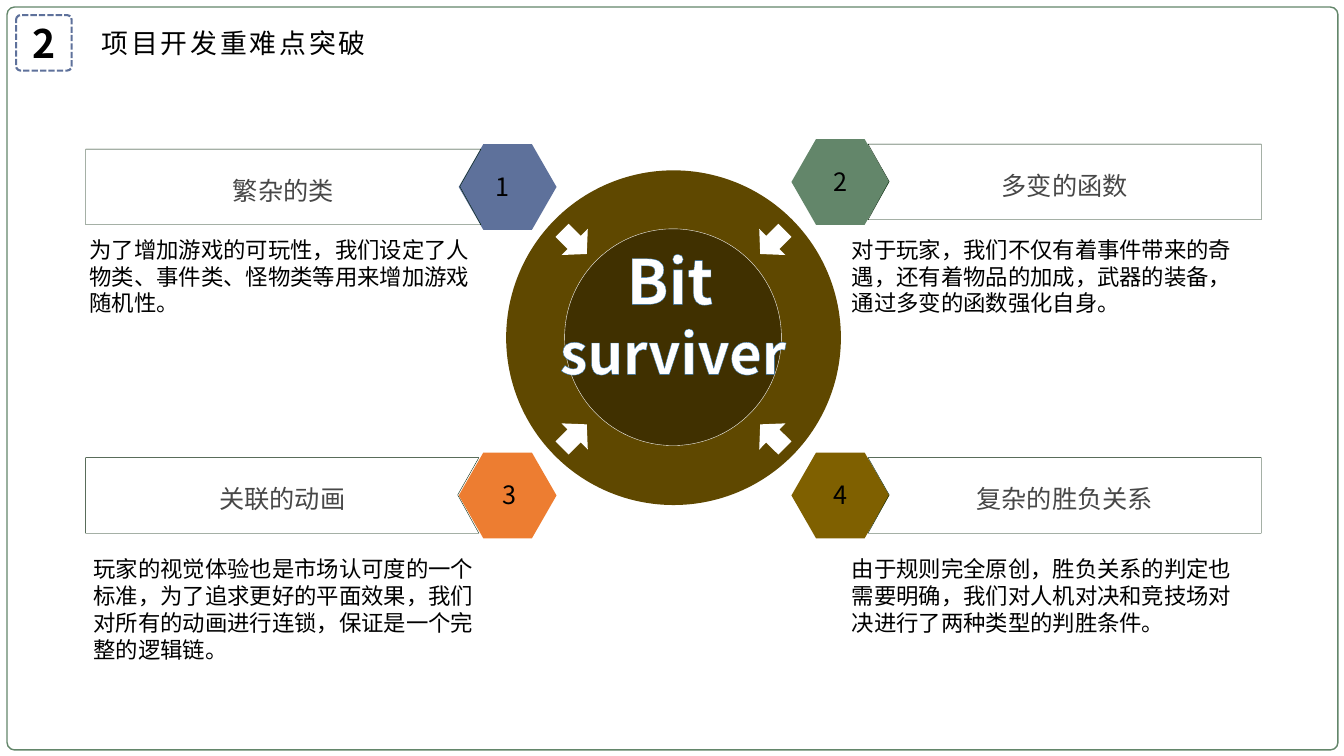
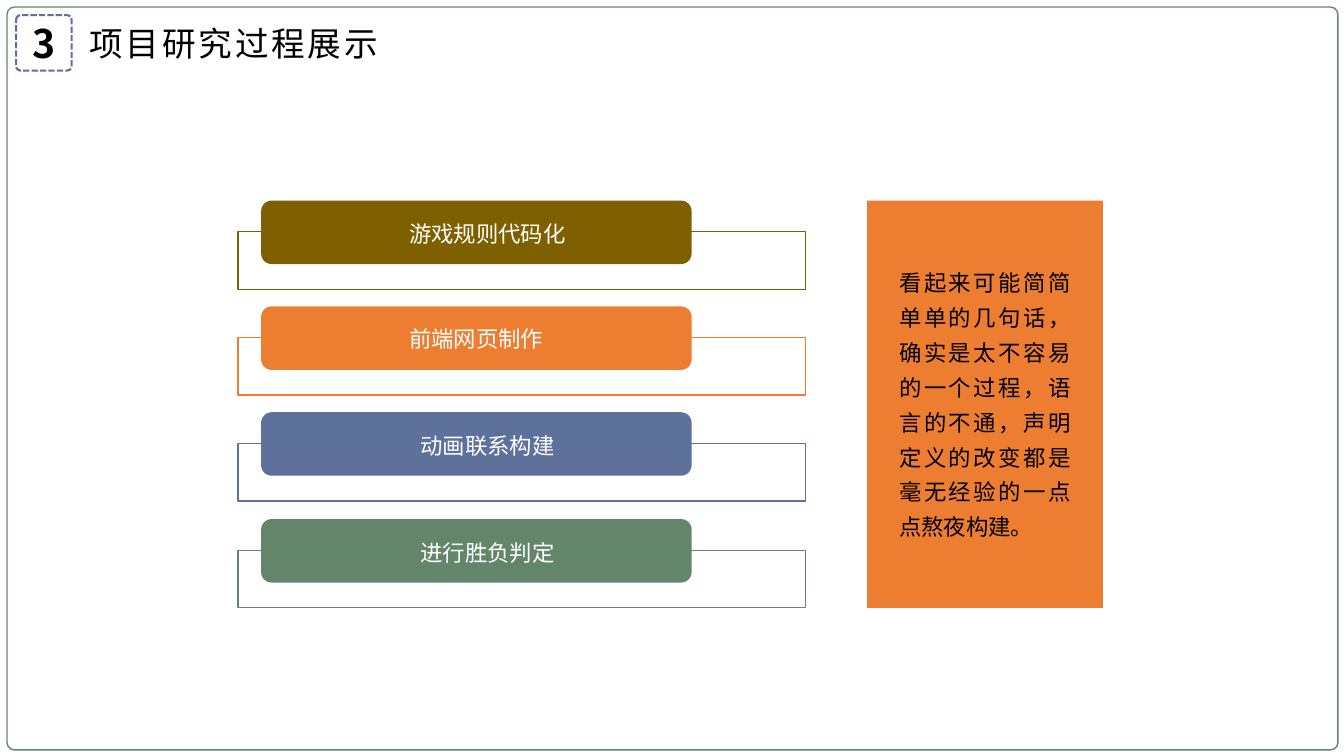
from dataclasses import dataclass
from typing import Any, Optional, Sequence

from lxml import etree
from pptx import Presentation
from pptx import util as u
from pptx.dml.color import RGBColor
from pptx.enum import dml, shapes, text
from pptx.oxml import ns

Kind = shapes.MSO_SHAPE
Align = text.PP_ALIGN
Box = tuple[int, int, int, int]

PX = 9144  # EMU per px, 100 px to the inch


@dataclass(frozen=True)
class Theme:
    font: str = "Noto Sans CJK SC"
    green: str = "63866A"
    blue: str = "5E719B"
    orange: str = "ED7D31"
    gold: str = "7F6000"
    ring: str = "5F4800"
    core: str = "403000"
    edge: str = "002003"
    glow: str = "2E75B6"
    gray: str = "474747"
    black: str = "000000"
    white: str = "FFFFFF"
    badge: float = 28
    head: float = 18
    body: float = 16


T = Theme()


@dataclass(frozen=True)
class Topic:
    num: str
    name: str
    note: str
    color: str
    side: int  # -1 left, 1 right
    top: int
    spot: tuple[int, int]  # note corner
    mark: int  # number's left edge
    lap: int = 0  # extra reach under the hexagon


@dataclass(frozen=True)
class Step:
    name: str
    color: str
    inset: int = 32
    lead: float = 1.1


TOPICS = (
    Topic("1", "繁杂的类",
          "为了增加游戏的可玩性，我们设定了人物类、事件类、怪物类等用来增加游戏随机性。",
          T.blue, -1, 143, (79, 229), 482, 2),
    Topic("2", "多变的函数",
          "对于玩家，我们不仅有着事件带来的奇遇，还有着物品的加成，武器的装备，通过多变的函数强化自身。",
          T.green, 1, 138, (835, 229), 817),
    Topic("3", "关联的动画",
          "玩家的视觉体验也是市场认可度的一个标准，为了追求更好的平面效果，我们对所有的动画进行连锁，保证是一个完整的逻辑链。",
          T.orange, -1, 449, (83, 546), 489),
    Topic("4", "复杂的胜负关系",
          "由于规则完全原创，胜负关系的判定也需要明确，我们对人机对决和竞技场对决进行了两种类型的判胜条件。",
          T.gold, 1, 449, (835, 546), 817),
)
STEPS = (
    Step("游戏规则代码化", T.gold),
    Step("前端网页制作", T.orange, 10, 1.0),
    Step("动画联系构建", T.blue),
    Step("进行胜负判定", T.green),
)
PANEL = "看起来可能简简单单的几句话，确实是太不容易的一个过程，语言的不通，声明定义的改变都是毫无经验的一点点熬夜构建。"

MID_X, MID_Y = 668, 335  # wheel centre
ARROW = ((111, 85), (86, 86), (85, 111), (92, 104),
         (104, 116), (117, 103), (105, 91))


def rgb(code: str) -> RGBColor:
    return RGBColor.from_string(code)


def paint(shape: Any, fill: Optional[str] = None,
          line: Optional[str] = None, wide: float = 1) -> Any:
    shape.shadow.inherit = False
    if fill:
        shape.fill.solid()
        shape.fill.fore_color.rgb = rgb(fill)
    else:
        shape.fill.background()
    if line:
        shape.line.color.rgb = rgb(line)
        shape.line.width = u.Pt(wide)
    else:
        shape.line.fill.background()
    return shape


def add(slide: Any, kind: Any, box: Box, adj: Sequence[float] = (),
        **look: Any) -> Any:
    shape = slide.shapes.add_shape(kind, *(v * PX for v in box))
    for i, val in enumerate(adj):
        shape.adjustments[i] = val
    return paint(shape, **look)


def poly(slide: Any, pts: Sequence[tuple[int, int]], **look: Any) -> Any:
    path = slide.shapes.build_freeform(*pts[0], scale=PX)
    path.add_line_segments(pts[1:], close=True)
    return paint(path.convert_to_shape(), **look)


def area(slide: Any, box: Box) -> Any:
    return slide.shapes.add_textbox(*(v * PX for v in box))


def write(shape: Any, words: str, *, size: float = T.body,
          color: str = T.black, bold: bool = False, align: Any = Align.LEFT,
          mid: bool = False, inset: Box = (10, 5, 10, 5), wrap: bool = True,
          lead: float = 1.0, gap: float = 0, track: float = 0,
          rim: Optional[str] = None) -> None:
    frame = shape.text_frame
    frame.word_wrap = wrap
    frame.vertical_anchor = (text.MSO_ANCHOR.MIDDLE if mid
                             else text.MSO_ANCHOR.TOP)
    (frame.margin_left, frame.margin_top,
     frame.margin_right, frame.margin_bottom) = (v * PX for v in inset)
    para = frame.paragraphs[0]
    para.alignment, para.line_spacing = align, lead
    para.space_before = para.space_after = u.Pt(gap)
    run = para.add_run()
    run.text = words
    font = run.font
    font.size, font.bold, font.name = u.Pt(size), bold, T.font
    font.color.rgb = rgb(color)
    # East Asian face, tracking and outline
    props = run._r.get_or_add_rPr()
    etree.SubElement(props, ns.qn("a:ea")).set("typeface", T.font)
    if track:
        props.set("spc", str(round(track * 100)))
    if rim:
        line = etree.Element(ns.qn("a:ln"), w=str(u.Pt(4)))
        fill = etree.SubElement(line, ns.qn("a:solidFill"))
        etree.SubElement(fill, ns.qn("a:srgbClr")).set("val", rim)
        props.insert(0, line)


def start(deck: Any, num: str, title: str, size: float) -> Any:
    """New slide with border, badge and title."""
    slide = deck.slides.add_slide(deck.slide_layouts[6])
    add(slide, Kind.ROUNDED_RECTANGLE, (7, 7, 1320, 737), [0.01],
        line=T.green)
    badge = add(slide, Kind.ROUNDED_RECTANGLE, (16, 15, 55, 55), [0.08],
                line=T.blue, wide=1.5)
    badge.line.dash_style = dml.MSO_LINE.SQUARE_DOT
    write(badge, num, size=T.badge, bold=True, align=Align.CENTER,
          mid=True, inset=(0, 0, 0, 0))
    write(area(slide, (72, 15, 320, 55)), title, size=size,
          align=Align.CENTER, mid=True, track=2)
    return slide


def wheel(slide: Any) -> None:
    add(slide, Kind.OVAL, (502, 169, 332, 332), fill=T.ring)
    for sx in (-1, 1):
        for sy, drop in ((-1, 3), (1, 0)):
            poly(slide, [(MID_X + sx * x, MID_Y + sy * y + drop)
                         for x, y in ARROW], fill=T.white)
    add(slide, Kind.OVAL, (560, 227, 215, 215), fill=T.core,
        line=T.white, wide=0.25)


def topic(slide: Any, item: Topic) -> None:
    # Hexagon
    left = 455 if item.side < 0 else 785
    add(slide, Kind.HEXAGON, (left, item.top, 97, 85), [0.287, 1.155],
        fill=item.color)
    # Notched title bar, mirrored about the wheel
    top = item.top + 5
    near, far, notch = (MID_X + item.side * d
                        for d in (193 - item.lap, 583, 214 - item.lap))
    bar = poly(slide, [(near, top), (far, top), (far, top + 75),
                       (near, top + 75), (notch, top + 37)],
               line=T.edge, wide=0.25)
    write(bar, item.name, size=T.head, color=T.gray, align=Align.CENTER,
          mid=True, inset=(0, 0, 0, 0), lead=1.2)
    # Note and number
    write(area(slide, (*item.spot, 415, 128)), item.note)
    write(area(slide, (item.mark, item.top + 22, 33, 40)), item.num,
          size=T.head, align=Align.CENTER, wrap=False)


def step(slide: Any, item: Step, top: int) -> None:
    add(slide, Kind.RECTANGLE, (236, top + 31, 563, 57), line=item.color)
    tile = add(slide, Kind.ROUNDED_RECTANGLE, (259, top, 427, 63),
               fill=item.color)
    write(tile, item.name, color=T.white, align=Align.CENTER, mid=True,
          inset=(item.inset, 5, 10, 5), lead=item.lead)


def main() -> None:
    deck = Presentation()
    deck.slide_width, deck.slide_height = 1333 * PX, 750 * PX

    # Key difficulties
    slide = start(deck, "2", "项目开发重难点突破", 19.2)
    wheel(slide)
    for item in TOPICS:
        topic(slide, item)
    for words, size, box in (("Bit", 44, (603, 236, 123, 84)),
                             ("surviver", 40, (514, 311, 307, 77))):
        write(area(slide, box), words, size=size, color=T.white, bold=True,
              align=Align.CENTER, wrap=False, rim=T.glow)

    # Research process
    slide = start(deck, "3", "项目研究过程展示", 24)
    for i, part in enumerate(STEPS):
        step(slide, part, 199 + i * 316 // 3)
    add(slide, Kind.RECTANGLE, (860, 199, 234, 404), fill=T.orange)
    write(area(slide, (882, 254, 190, 290)), PANEL, align=Align.JUSTIFY,
          lead=1.3, gap=6)

    deck.save("out.pptx")


if __name__ == "__main__":
    main()
